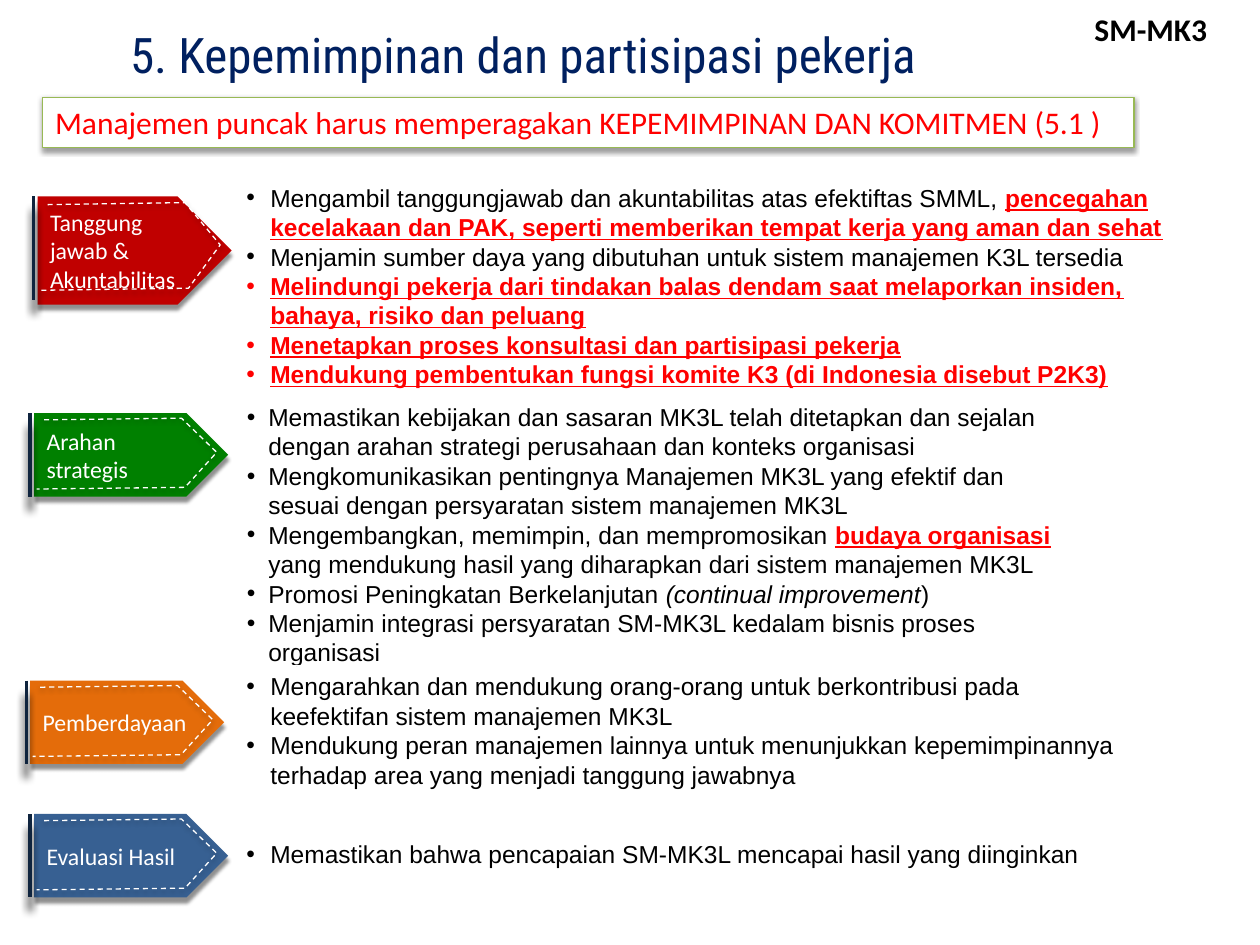
from dataclasses import dataclass

from lxml.etree import SubElement
from pptx import Presentation
from pptx.dml.color import RGBColor
from pptx.enum.dml import MSO_LINE
from pptx.enum.shapes import MSO_CONNECTOR, MSO_SHAPE
from pptx.enum.text import MSO_ANCHOR, PP_ALIGN
from pptx.oxml.ns import qn
from pptx.util import Cm, Pt


@dataclass(frozen=True)
class Theme:
    black: str = "000000"
    white: str = "FFFFFF"
    red: str = "FF0000"
    navy: str = "002060"
    bar: str = "0F243E"
    banner_line: str = "98B955"
    title_font: str = "Roboto Condensed"
    label_font: str = "Calibri"
    body_font: str = "Arial"
    title_size: float = 28
    heading_size: float = 18
    body_size: float = 14
    tag_size: float = 13.6


@dataclass(frozen=True)
class Shadow:
    opacity: int
    blur: float
    distance: float
    angle: int


@dataclass(frozen=True)
class Span:
    text: str
    strong: bool = False
    italic: bool = False


@dataclass(frozen=True)
class Tag:
    text: str
    color: str
    left: float
    top: float
    height: float = 1.68
    bar_height: float = 1.68


@dataclass(frozen=True)
class BulletBox:
    left: float
    top: float
    width: float
    height: float
    bullets: tuple[tuple[Span, ...], ...]
    indent: float = 0.48
    hanging: float = 0.48
    outlined: bool = False


THEME = Theme()
TAG_SHADOW = Shadow(43, 2, 3, 85)
BAR_SHADOW = Shadow(100, 5, 8, 90)
SOFT_SHADOW = Shadow(38, 3.1, 1.6, 90)
TAG_WIDTH = 3.91
BAR_GAP = 0.08
# Stitch corners: distance from the tag's left, share of the bar height
STITCH = ((0.2, 0.08), (2.97, 0.06), (3.68, 0.47), (3.04, 0.89), (0.05, 0.91))

TAGS = (
    Tag("Tanggung jawab & Akuntabilitas", "C00000", 0.76, 3.96, 2.18, 2.08),
    Tag("Arahan strategis", "008000", 0.69, 8.33),
    Tag("Pemberdayaan", "E46C0A", 0.61, 13.72),
    Tag("Evaluasi Hasil", "376092", 0.69, 16.41),
)

BULLET_BOXES = (
    BulletBox(4.72, 3.56, 19.41, 4.45, (
        (Span("Mengambil tanggungjawab dan akuntabilitas atas efektiftas SMML, "),
         Span("pencegahan kecelakaan dan PAK, seperti memberikan tempat kerja "
              "yang aman dan sehat", strong=True)),
        (Span("Menjamin sumber daya yang dibutuhan untuk sistem manajemen K3L tersedia"),),
        (Span("Melindungi pekerja dari tindakan balas dendam saat melaporkan insiden, "
              "bahaya, risiko dan peluang", strong=True),),
        (Span("Menetapkan proses konsultasi dan partisipasi pekerja", strong=True),),
        (Span("Mendukung pembentukan fungsi komite K3 (di Indonesia disebut P2K3)",
              strong=True),),
    )),
    BulletBox(4.6, 7.98, 17.32, 5.65, (
        (Span("Memastikan kebijakan dan sasaran MK3L telah ditetapkan dan sejalan "
              "dengan arahan strategi perusahaan dan konteks organisasi"),),
        (Span("Mengkomunikasikan pentingnya Manajemen MK3L yang efektif dan sesuai "
              "dengan persyaratan sistem manajemen MK3L"),),
        (Span("Mengembangkan, memimpin, dan mempromosikan "),
         Span("budaya organisasi ", strong=True),
         Span("yang mendukung hasil yang diharapkan dari sistem manajemen MK3L")),
        (Span("Promosi Peningkatan Berkelanjutan "),
         Span("(continual improvement", italic=True), Span(")")),
        (Span("Menjamin integrasi persyaratan SM-MK3L kedalam bisnis proses organisasi"),),
    ), indent=0.56, hanging=0.43),
    BulletBox(4.72, 13.41, 18.14, 2.64, (
        (Span("Mengarahkan dan mendukung orang-orang untuk berkontribusi pada "
              "keefektifan sistem manajemen MK3L"),),
        (Span("Mendukung peran manajemen lainnya untuk menunjukkan kepemimpinannya "
              "terhadap area yang menjadi tanggung jawabnya"),),
    ), outlined=True),
    BulletBox(4.72, 16.79, 17.32, 0.86, (
        (Span("Memastikan bahwa pencapaian SM-MK3L mencapai hasil yang diinginkan"),),
    ), outlined=True),
)


def rgb(color: str) -> RGBColor:
    return RGBColor.from_string(color)


def set_line(line, color: str, width: float) -> None:
    line.color.rgb = rgb(color)
    line.width = Pt(width)


def cast_shadow(shape, shadow: Shadow) -> None:
    """Add an outer shadow; call after the fill and line are set."""
    effects = SubElement(shape._element.spPr, qn("a:effectLst"))
    outer = SubElement(effects, qn("a:outerShdw"), blurRad=str(Pt(shadow.blur)),
                       dist=str(Pt(shadow.distance)), dir=str(shadow.angle * 60000),
                       rotWithShape="0")
    color = SubElement(outer, qn("a:srgbClr"), val=THEME.black)
    SubElement(color, qn("a:alpha"), val=str(shadow.opacity * 1000))


def style_font(font, name: str, size: float, color: str, bold: bool = False) -> None:
    font.name, font.size, font.bold = name, Pt(size), bold
    font.color.rgb = rgb(color)


def write_label(shape, text: str, name: str, size: float, color: str, bold: bool = False,
                align=PP_ALIGN.LEFT, anchor=MSO_ANCHOR.TOP, wrap: bool = True) -> None:
    frame = shape.text_frame
    frame.text = text
    frame.word_wrap, frame.vertical_anchor = wrap, anchor
    para = frame.paragraphs[0]
    para.alignment = align
    style_font(para.runs[0].font, name, size, color, bold)


def draw_tag(page, tag: Tag) -> None:
    shapes = page.shapes.add_group_shape().shapes
    # Pointed label
    plate = shapes.add_shape(MSO_SHAPE.PENTAGON, Cm(tag.left), Cm(tag.top),
                             Cm(TAG_WIDTH), Cm(tag.height))
    plate.fill.solid()
    plate.fill.fore_color.rgb = rgb(tag.color)
    plate.line.fill.background()
    cast_shadow(plate, TAG_SHADOW)
    write_label(plate, tag.text, THEME.label_font, THEME.tag_size, THEME.white,
                anchor=MSO_ANCHOR.MIDDLE)
    # Side bar
    bar_x = Cm(tag.left - BAR_GAP)
    bar = shapes.add_connector(MSO_CONNECTOR.STRAIGHT, bar_x, Cm(tag.top),
                               bar_x, Cm(tag.top + tag.bar_height))
    set_line(bar.line, THEME.bar, 2)
    cast_shadow(bar, BAR_SHADOW)
    # Dashed stitching
    corners = [(Cm(tag.left + x), Cm(tag.top + share * tag.bar_height)) for x, share in STITCH]
    builder = shapes.build_freeform(*corners[0])
    builder.add_line_segments(corners[1:], close=False)
    stitch = builder.convert_to_shape()
    stitch.fill.background()
    set_line(stitch.line, THEME.white, 0.75)
    stitch.line.dash_style = MSO_LINE.DASH
    cast_shadow(stitch, SOFT_SHADOW)


def draw_bullets(page, content: BulletBox) -> None:
    place = [Cm(n) for n in (content.left, content.top, content.width, content.height)]
    if content.outlined:
        box = page.shapes.add_shape(MSO_SHAPE.RECTANGLE, *place)
        box.fill.background()
        set_line(box.line, THEME.white, 0.75)
        box.shadow.inherit = False
    else:
        box = page.shapes.add_textbox(*place)
    frame = box.text_frame
    frame.word_wrap, frame.vertical_anchor = True, MSO_ANCHOR.TOP
    for index, spans in enumerate(content.bullets):
        para = frame.add_paragraph() if index else frame.paragraphs[0]
        para.alignment = PP_ALIGN.LEFT
        properties = para._p.get_or_add_pPr()
        properties.set("marL", str(Cm(content.indent)))
        properties.set("indent", str(-Cm(content.hanging)))
        SubElement(properties, qn("a:buFont"), typeface=THEME.body_font)
        SubElement(properties, qn("a:buChar"), char="•")
        for span in spans:
            run = para.add_run()
            run.text = span.text
            style_font(run.font, THEME.body_font, THEME.body_size,
                       THEME.red if span.strong else THEME.black, span.strong)
            run.font.underline, run.font.italic = span.strong, span.italic


def main() -> None:
    deck = Presentation()
    deck.slide_width, deck.slide_height = Cm(25.4), Cm(19.05)
    page = deck.slides.add_slide(deck.slide_layouts[6])

    # Tags and their bullet lists
    for tag, content in zip(TAGS, BULLET_BOXES):
        draw_tag(page, tag)
        draw_bullets(page, content)

    # Title
    title = page.shapes.add_textbox(Cm(1.75), Cm(0.36), Cm(17.58), Cm(1.45))
    write_label(title, "5. Kepemimpinan dan partisipasi pekerja", THEME.title_font,
                THEME.title_size, THEME.navy, align=PP_ALIGN.CENTER, wrap=False)

    # Banner
    banner = page.shapes.add_shape(MSO_SHAPE.RECTANGLE, Cm(0.86), Cm(1.96), Cm(22), Cm(1.02))
    banner.fill.solid()
    banner.fill.fore_color.rgb = rgb(THEME.white)
    set_line(banner.line, THEME.banner_line, 0.75)
    cast_shadow(banner, SOFT_SHADOW)
    write_label(banner, "Manajemen puncak harus memperagakan KEPEMIMPINAN DAN KOMITMEN (5.1 )",
                THEME.label_font, THEME.heading_size, THEME.red)

    # Corner label
    corner = page.shapes.add_textbox(Cm(21.13), Cm(0.08), Cm(4.14), Cm(1.24))
    write_label(corner, "SM-MK3", THEME.label_font, THEME.heading_size, THEME.black,
                bold=True, align=PP_ALIGN.CENTER)

    deck.save("out.pptx")


if __name__ == "__main__":
    main()
